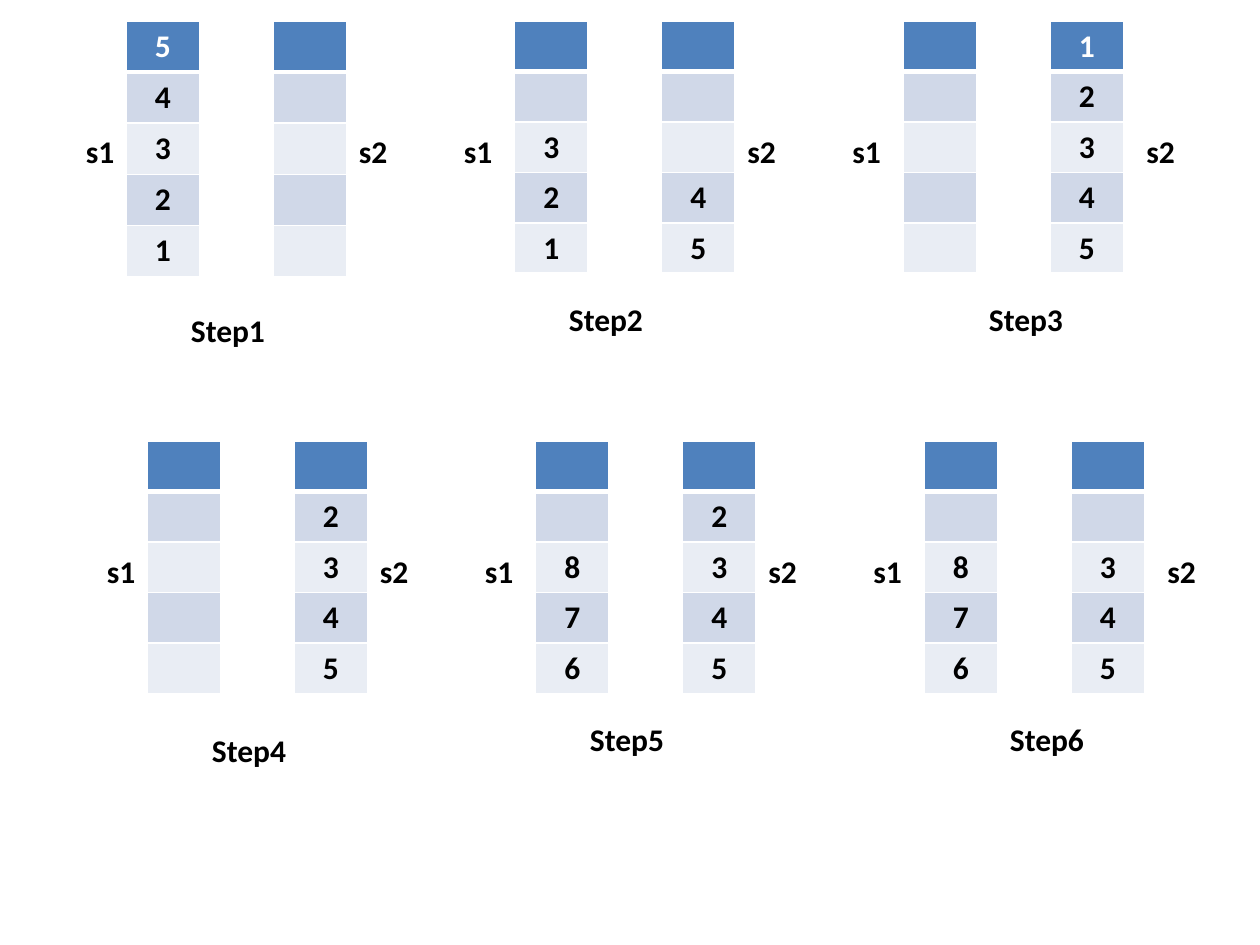
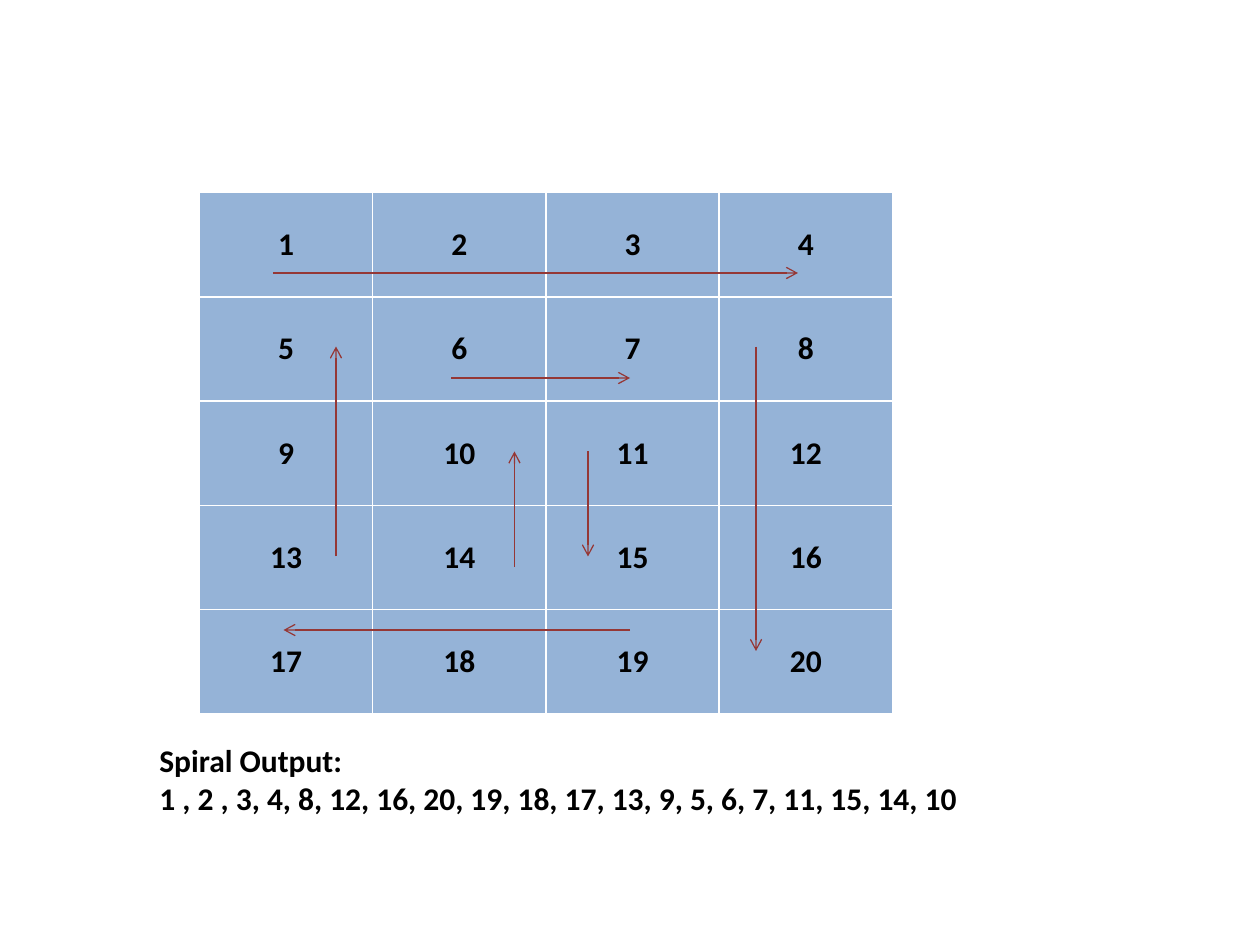
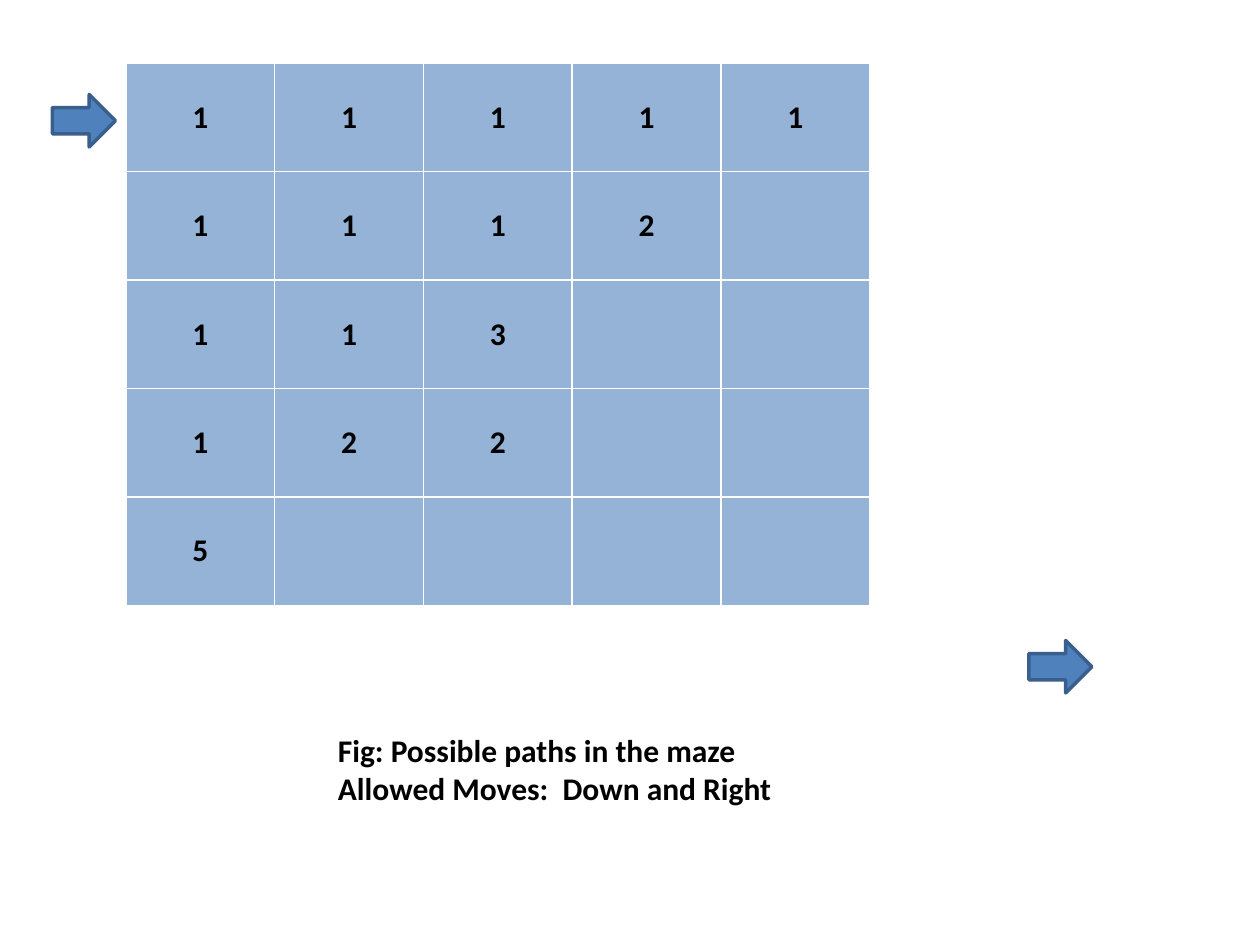
from dataclasses import dataclass

from lxml.etree import SubElement as add_sub
from pptx import Presentation as Deck
from pptx.dml.color import RGBColor as Color
from pptx.enum.shapes import MSO_CONNECTOR as Link, MSO_SHAPE as Shape
from pptx.enum.text import MSO_ANCHOR as Anchor, PP_ALIGN as Align
from pptx.oxml.ns import qn
from pptx.util import Pt

FONT = "Calibri"
SIZE = 18
BLACK, WHITE = "000000", "FFFFFF"
BLUE, EDGE, RED = "4F81BD", "3A5F8C", "953735"
PALE, LIGHT, SKY = "E9EDF4", "D0D8E8", "95B3D7"


@dataclass
class Box:
    left: float
    top: float
    width: float
    height: float

    def points(self) -> list:
        return [Pt(side) for side in (self.left, self.top, self.width, self.height)]


@dataclass
class Step:
    name: str
    first: str
    second: str


@dataclass
class Place:
    left: float
    s1: float
    s2: float
    name: float
    drop: float


@dataclass
class Arrow:
    x1: float
    y1: float
    x2: float
    y2: float


PLACES = [
    Place(72, -30, 126, 30, 162),
    Place(294, -36, 126, 24, 156),
    Place(516, -36, 132, 42, 156),
]
STEPS = [
    Step("Step1", "54321", ""),
    Step("Step2", "321", "45"),
    Step("Step3", "", "12345"),
    Step("Step4", "", "2345"),
    Step("Step5", "876", "2345"),
    Step("Step6", "876", "345"),
]
SPIRAL = [
    Arrow(156, 156, 456, 156),
    Arrow(432, 198, 432, 372),
    Arrow(360, 360, 162, 360),
    Arrow(192, 318, 192, 198),
    Arrow(258, 216, 360, 216),
    Arrow(336, 258, 336, 318),
    Arrow(294, 324, 294, 258),
]
MAZE = ["11111", "1112", "113", "122", "5"]


def paint(target, code: str) -> None:
    if hasattr(target, "solid"):
        target.solid()
        target = target.fore_color
    target.rgb = Color.from_string(code)


def style(frame, code: str = BLACK) -> None:
    for para in frame.paragraphs:
        for run in para.runs:
            run.font.name = FONT
            run.font.size = Pt(SIZE)
            run.font.bold = True
            paint(run.font.color, code)


def label(slide, box: Box, text: str) -> None:
    frame = slide.shapes.add_textbox(*box.points()).text_frame
    frame.word_wrap = True
    frame.text = text
    style(frame)


def frame_cell(cell, top: float, bottom: float) -> None:
    props = cell._tc.get_or_add_tcPr()
    for side, width in zip("LRTB", (1, 1, top, bottom)):
        line = add_sub(props, qn(f"a:ln{side}"), w=str(Pt(width)))
        add_sub(add_sub(line, qn("a:solidFill")), qn("a:srgbClr"), val=WHITE)


def grid(slide, box: Box, rows: list, fills: list, head: bool = False) -> None:
    cols = max(1, *map(len, rows))
    table = slide.shapes.add_table(len(rows), cols, *box.points()).table
    table.first_row = table.horz_banding = False
    for i, row in enumerate(rows):
        for j in range(cols):
            cell = table.cell(i, j)
            frame_cell(cell, 3 if head and i == 1 else 1, 3 if head and i == 0 else 1)
            paint(cell.fill, fills[i])
            cell.vertical_anchor = Anchor.TOP if head else Anchor.MIDDLE
            if j < len(row):
                cell.text_frame.text = row[j]
                cell.text_frame.paragraphs[0].alignment = Align.CENTER
                style(cell.text_frame, WHITE if head and i == 0 else BLACK)


def stack(slide, left: float, top: float, items: str) -> None:
    rows = [[item] if item.strip() else [] for item in items.rjust(5)]
    grid(slide, Box(left, top, 42, 144), rows, [BLUE, LIGHT, PALE, LIGHT, PALE], True)


def draw_step(slide, step: Step, place: Place, shift: float, top: float) -> None:
    left = place.left + shift
    stack(slide, left, top, step.first)
    stack(slide, left + 84, top, step.second)
    label(slide, Box(left + place.s1, top + 60, 36, 29), "s1")
    label(slide, Box(left + place.s2, top + 60, 36, 29), "s2")
    label(slide, Box(left + place.name, top + place.drop, 60, 29), step.name)


def draw_line(slide, arrow: Arrow) -> None:
    ends = [Pt(end) for end in (arrow.x1, arrow.y1, arrow.x2, arrow.y2)]
    link = slide.shapes.add_connector(Link.STRAIGHT, *ends)
    paint(link.line.fill, RED)
    link.line.width = Pt(0.75)
    add_sub(link.line._get_or_add_ln(), qn("a:tailEnd"), type="arrow")
    add_sub(link._element.spPr, qn("a:effectLst"))


def draw_gate(slide, left: float, top: float) -> None:
    gate = slide.shapes.add_shape(Shape.RIGHT_ARROW, *Box(left, top, 36, 30).points())
    gate.shadow.inherit = False
    paint(gate.fill, BLUE)
    paint(gate.line.fill, EDGE)
    gate.line.width = Pt(2)


def main() -> None:
    deck = Deck()
    deck.slide_width, deck.slide_height = Pt(720), Pt(540)
    stacks, spiral, maze = (deck.slides.add_slide(deck.slide_layouts[6]) for _ in range(3))

    for i, step in enumerate(STEPS):
        row, col = divmod(i, 3)
        draw_step(stacks, step, PLACES[col], 12 * row, 12 + 240 * row)

    count = [[str(4 * i + j) for j in range(1, 5)] for i in range(5)]
    grid(spiral, Box(114, 110, 396, 298), count, [SKY] * 5)
    for arrow in SPIRAL:
        draw_line(spiral, arrow)
    label(spiral, Box(84, 420, 498, 51),
          "Spiral Output:\n1 , 2 , 3, 4, 8, 12, 16, 20, 19, 18, 17, 13, 9, 5, 6, 7, 11, 15, 14, 10")

    grid(maze, Box(72, 36, 425, 310), MAZE, [SKY] * 5)
    label(maze, Box(186, 414, 270, 51),
          "Fig: Possible paths in the maze\nAllowed Moves:  Down and Right")
    draw_gate(maze, 30, 54)
    draw_gate(maze, 588, 366)

    deck.save("out.pptx")


if __name__ == "__main__":
    main()
